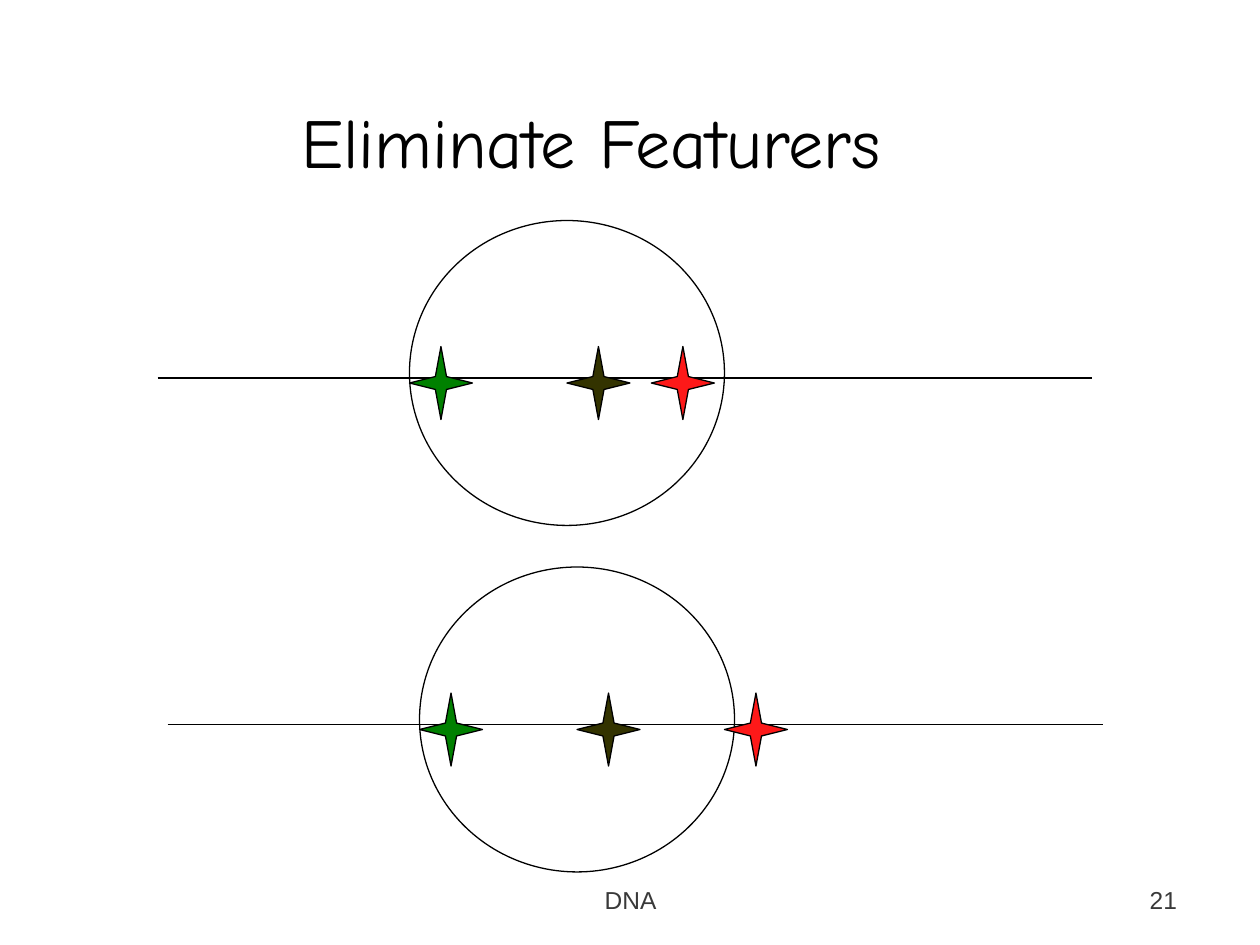
from lxml import etree
from pptx import Presentation
from pptx.dml.color import RGBColor
from pptx.enum.shapes import MSO_CONNECTOR, MSO_SHAPE
from pptx.enum.text import MSO_ANCHOR, MSO_AUTO_SIZE, PP_ALIGN
from pptx.oxml.ns import qn
from pptx.util import Inches, Pt

BLACK = "000000"
GREY = "393939"
STAR_COLORS = ("008000", "333300", "FD1919")


def color(hex_value):
    return RGBColor.from_string(hex_value)


def set_outline(shape):
    shape.line.color.rgb = color(BLACK)
    shape.line.width = Pt(0.75)


def write_text(shape, text, font_name, size, hex_value, alignment):
    frame = shape.text_frame
    frame.text = text
    frame.word_wrap = True
    frame.auto_size = MSO_AUTO_SIZE.NONE
    frame.vertical_anchor = MSO_ANCHOR.BOTTOM
    paragraph = frame.paragraphs[0]
    paragraph.alignment = alignment
    paragraph.font.name = font_name
    paragraph.font.size = Pt(size)
    paragraph.font.color.rgb = color(hex_value)


def add_title(slide, left, top, width, height):
    title = slide.shapes.title
    title.left, title.top = Inches(left), Inches(top)
    title.width, title.height = Inches(width), Inches(height)
    write_text(title, "Eliminate Featurers", "Comic Neue", 40, BLACK, PP_ALIGN.CENTER)


def add_star(slide, left, top, hex_value):
    star = slide.shapes.add_shape(
        MSO_SHAPE.STAR_4_POINT, Inches(left), Inches(top), Inches(0.5), Inches(0.58)
    )
    star.shadow.inherit = False
    star.fill.solid()
    star.fill.fore_color.rgb = color(hex_value)
    set_outline(star)


def add_feature_diagram(slide, left, top, star_offsets):
    circle = slide.shapes.add_shape(
        MSO_SHAPE.OVAL, Inches(left + 2), Inches(top), Inches(2.5), Inches(2.42)
    )
    circle.shadow.inherit = False
    circle.fill.background()
    set_outline(circle)

    axis_y = Inches(top + 1.25)
    axis = slide.shapes.add_connector(
        MSO_CONNECTOR.STRAIGHT, Inches(left), axis_y, Inches(left + 7.42), axis_y
    )
    set_outline(axis)
    etree.SubElement(axis._element.spPr, qn("a:effectLst"))

    for offset, hex_value in zip(star_offsets, STAR_COLORS):
        add_star(slide, left + offset, top + 1, hex_value)


def add_footer_text(slide, left, width, text, alignment):
    box = slide.shapes.add_textbox(Inches(left), Inches(6.81), Inches(width), Inches(0.5))
    write_text(box, text, "Arial", 14, GREY, alignment)


def main():
    presentation = Presentation()
    presentation.slide_width = Inches(10)
    presentation.slide_height = Inches(7.5)
    slide = presentation.slides.add_slide(presentation.slide_layouts[5])

    add_title(slide, 0.44, 0.25, 8.5, 1.25)
    add_feature_diagram(slide, 1.33, 4.5, (2, 3.25, 4.42))
    add_feature_diagram(slide, 1.25, 1.75, (2, 3.25, 3.92))
    add_footer_text(slide, 3.42, 3.17, "DNA", PP_ALIGN.CENTER)
    add_footer_text(slide, 7.36, 2.08, "21", PP_ALIGN.RIGHT)

    presentation.save("out.pptx")


if __name__ == "__main__":
    main()
